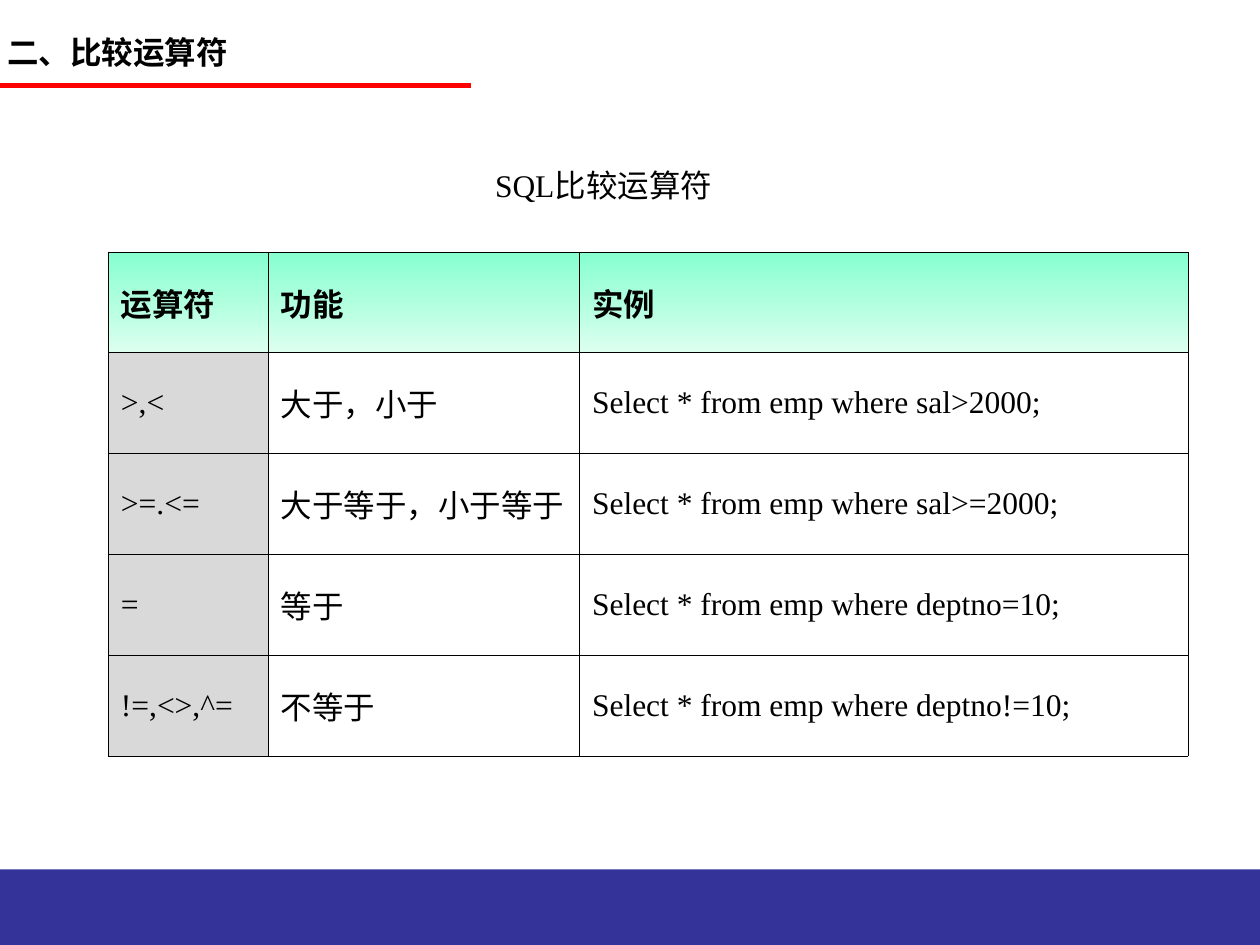
import pptx
import pptx.dml.color
import pptx.enum.shapes
import pptx.enum.text
import pptx.oxml
import pptx.oxml.ns
import pptx.util

Pt = pptx.util.Pt
ANCHOR = pptx.enum.text.MSO_ANCHOR
FIT = pptx.enum.text.MSO_AUTO_SIZE

WIDTH, HEIGHT = 720, 540
BAND_HEIGHT = 43.2
ROW_HEIGHT = 57.6
COLUMN_WIDTHS = [91.44, 177.84, 347.76]
ROWS = [
    ["运算符", "功能", "实例"],
    [">,<", "大于，小于", "Select * from emp where sal>2000;"],
    [">=.<=", "大于等于，小于等于", "Select * from emp where sal>=2000;"],
    ["=", "等于", "Select * from emp where deptno=10;"],
    ["!=,<>,^=", "不等于", "Select * from emp where deptno!=10;"],
]


def rgb(value):
    return pptx.dml.color.RGBColor.from_string(value)


class SlideBuilder:
    ink = "000000"
    body_font = "Times New Roman"
    heading_font = "Arial"
    size = 18
    header_gradient = ["86FFCF", "DCFFEF"]
    operator_fill = "D9D9D9"
    border_width = 0.45
    hanging_indent = 27.36

    def __init__(self, slide):
        self.slide = slide

    def set_text(self, frame, text, font_name, bold=False):
        frame.text = text
        font = frame.paragraphs[0].runs[0].font
        font.name = font_name
        font.size = Pt(self.size)
        font.bold = bold
        font.color.rgb = rgb(self.ink)

    def title(self, text, left, top, width, height):
        title = self.slide.shapes.title
        title.left, title.top = Pt(left), Pt(top)
        title.width, title.height = Pt(width), Pt(height)
        frame = title.text_frame
        self.set_text(frame, text, self.body_font)
        frame.auto_size = FIT.NONE
        frame.vertical_anchor = ANCHOR.BOTTOM
        frame.paragraphs[0].alignment = pptx.enum.text.PP_ALIGN.CENTER

    def heading(self, text, left, top, width, height):
        box = self.slide.shapes.add_textbox(Pt(left), Pt(top), Pt(width), Pt(height))
        frame = box.text_frame
        frame.word_wrap = True
        frame.auto_size = FIT.SHAPE_TO_FIT_TEXT
        self.set_text(frame, text, self.heading_font, bold=True)

    def band(self, left, top, width, height, color):
        band = self.slide.shapes.add_shape(
            pptx.enum.shapes.MSO_SHAPE.RECTANGLE, Pt(left), Pt(top), Pt(width), Pt(height))
        band.shadow.inherit = False
        band.fill.solid()
        band.fill.fore_color.rgb = rgb(color)
        band.line.fill.background()

    def rule(self, left, top, width, color, weight):
        rule = self.slide.shapes.add_connector(
            pptx.enum.shapes.MSO_CONNECTOR.STRAIGHT,
            Pt(left), Pt(top), Pt(left + width), Pt(top))
        rule.line.color.rgb = rgb(color)
        rule.line.width = Pt(weight)
        rule._element.spPr.append(pptx.oxml.parse_xml(
            f'<a:effectLst {pptx.oxml.ns.nsdecls("a")}/>'))

    def borders(self, cell):
        properties = cell._tc.get_or_add_tcPr()
        for index, side in enumerate("LRTB"):
            # Border lines come before the fill in the cell properties
            properties.insert(index, pptx.oxml.parse_xml(
                f'<a:ln{side} {pptx.oxml.ns.nsdecls("a")} w="{Pt(self.border_width)}">'
                f'<a:solidFill><a:srgbClr val="{self.ink}"/></a:solidFill></a:ln{side}>'))

    def fill_cell(self, cell, is_header, is_operator):
        if is_header:
            cell.fill.gradient()
            cell.fill.gradient_angle = 270  # counter-clockwise: top to bottom
            for stop, color in zip(cell.fill.gradient_stops, self.header_gradient):
                stop.color.rgb = rgb(color)
        elif is_operator:
            cell.fill.solid()
            cell.fill.fore_color.rgb = rgb(self.operator_fill)
        else:
            cell.fill.background()

    def table(self, rows, left, top, column_widths, row_height):
        table = self.slide.shapes.add_table(
            len(rows), len(column_widths), Pt(left), Pt(top),
            Pt(sum(column_widths)), Pt(row_height * len(rows))).table
        table.first_row = table.horz_banding = False
        for column, width in zip(table.columns, column_widths):
            column.width = Pt(width)
        for row_index, texts in enumerate(rows):
            table.rows[row_index].height = Pt(row_height)
            for column_index, text in enumerate(texts):
                cell = table.cell(row_index, column_index)
                is_header = row_index == 0
                self.set_text(cell.text_frame, text, self.body_font, bold=is_header)
                indents = cell.text_frame.paragraphs[0]._p.get_or_add_pPr()
                indents.set("marL", str(Pt(self.hanging_indent)))
                indents.set("indent", str(-Pt(self.hanging_indent)))
                cell.vertical_anchor = ANCHOR.MIDDLE
                self.fill_cell(cell, is_header, column_index == 0)
                self.borders(cell)


def main():
    deck = pptx.Presentation()
    deck.slide_width, deck.slide_height = Pt(WIDTH), Pt(HEIGHT)
    title_only = deck.slide_layouts[5]
    builder = SlideBuilder(deck.slides.add_slide(title_only))

    # Page frame
    builder.band(0, HEIGHT - BAND_HEIGHT, WIDTH, BAND_HEIGHT, "333399")
    builder.rule(0, 48.96, 269.28, "FF0000", 3)

    # Table caption and operator table
    builder.title("SQL比较运算符", 54, 12.24, 581.76, 108)
    builder.table(ROWS, 61.92, 144, COLUMN_WIDTHS, ROW_HEIGHT)

    # Section heading
    builder.heading("二、比较运算符", -2.88, 15.12, 373.68, 28.8)

    deck.save("out.pptx")


if __name__ == "__main__":
    main()
